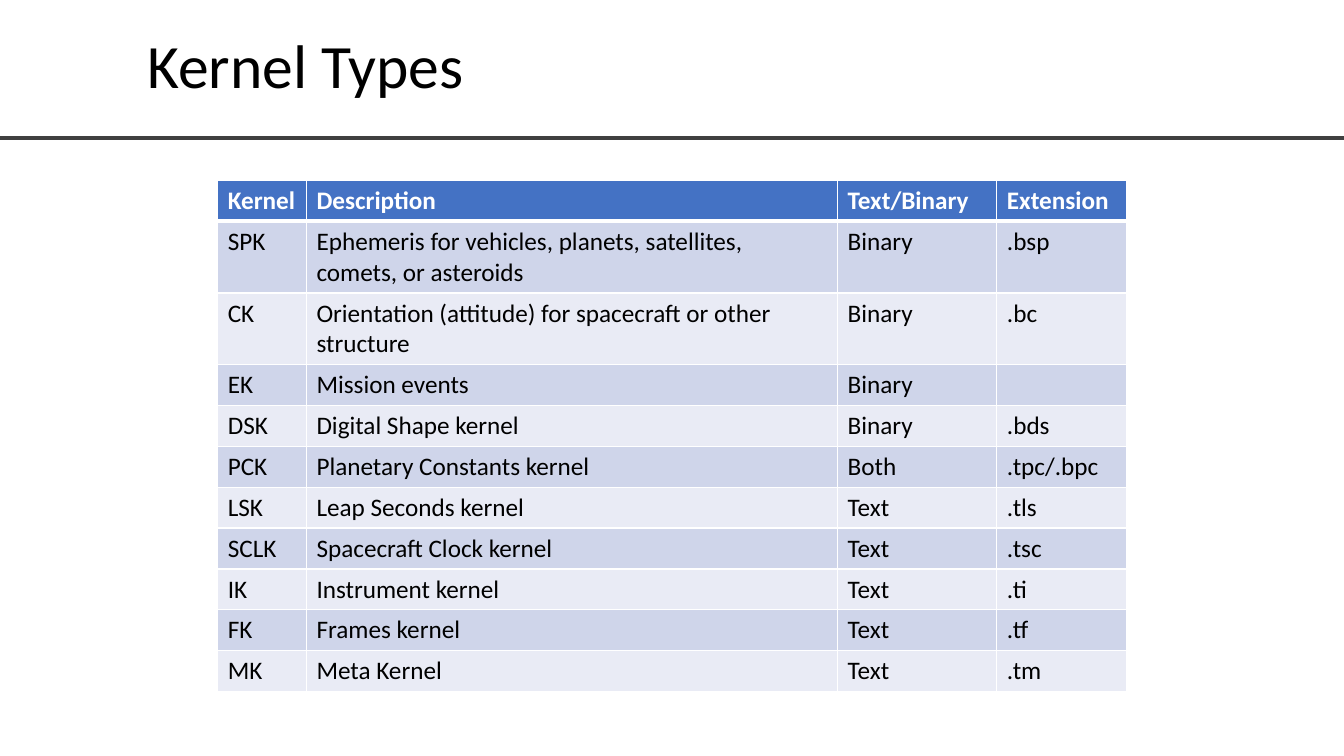
import dataclasses
import lxml.etree
import pptx
import pptx.dml.color
import pptx.enum.shapes
import pptx.enum.text
import pptx.oxml.ns
import pptx.util

Pt = pptx.util.Pt
Color = pptx.dml.color.RGBColor.from_string


@dataclasses.dataclass(frozen=True)
class Theme:
    font: str = "Calibri"
    title_size: int = 44
    table_size: int = 18
    text: str = "000000"
    rule: str = "404040"
    header: str = "4472C4"
    header_text: str = "FFFFFF"
    border: str = "FFFFFF"
    bands: tuple = ("CFD5EA", "E9EBF5")


THEME = Theme()
COLUMN_WIDTHS = (63.4, 379.4, 113.8, 92.8)
ROW_HEIGHT = 29.2
KERNELS = (
    ("Kernel", "Description", "Text/Binary", "Extension"),
    ("SPK", "Ephemeris for vehicles, planets, satellites, comets, or asteroids", "Binary", ".bsp"),
    ("CK", "Orientation (attitude) for spacecraft or other structure", "Binary", ".bc"),
    ("EK", "Mission events", "Binary", ""),
    ("DSK", "Digital Shape kernel", "Binary", ".bds"),
    ("PCK", "Planetary Constants kernel", "Both", ".tpc/.bpc"),
    ("LSK", "Leap Seconds kernel", "Text", ".tls"),
    ("SCLK", "Spacecraft Clock kernel", "Text", ".tsc"),
    ("IK", "Instrument kernel", "Text", ".ti"),
    ("FK", "Frames kernel", "Text", ".tf"),
    ("MK", "Meta Kernel", "Text", ".tm"),
)


def apply_format(target, values):
    for name, value in values.items():
        setattr(target, name, value)


def write_text(para, text, size, color, bold=False):
    span = para.add_run()
    span.text = text
    apply_format(span.font, {"name": THEME.font, "size": Pt(size), "bold": bold})
    span.font.color.rgb = Color(color)


def add_title(page, text):
    box = page.shapes.title
    apply_format(box, {"left": Pt(97.9), "top": Pt(7.9), "width": Pt(746.6), "height": Pt(82.8)})
    apply_format(box.text_frame, {
        "word_wrap": True,
        "auto_size": pptx.enum.text.MSO_AUTO_SIZE.NONE,
        "vertical_anchor": pptx.enum.text.MSO_ANCHOR.MIDDLE,
    })
    para = box.text_frame.paragraphs[0]
    apply_format(para, {"alignment": pptx.enum.text.PP_ALIGN.LEFT, "line_spacing": 0.9})
    write_text(para, text, THEME.title_size, THEME.text)


def add_rule(page, top, width):
    rule = page.shapes.add_connector(
        pptx.enum.shapes.MSO_CONNECTOR.STRAIGHT, 0, Pt(top), width, Pt(top))
    rule.line.color.rgb = Color(THEME.rule)
    rule.line.width = Pt(3)
    lxml.etree.SubElement(rule._element.spPr, pptx.oxml.ns.qn("a:effectLst"))


def add_borders(cell, widths):
    properties = cell._tc.get_or_add_tcPr()
    for position, (side, width) in enumerate(widths.items()):
        line = lxml.etree.Element(pptx.oxml.ns.qn(f"a:ln{side}"), w=str(Pt(width)))
        fill = lxml.etree.SubElement(line, pptx.oxml.ns.qn("a:solidFill"))
        lxml.etree.SubElement(fill, pptx.oxml.ns.qn("a:srgbClr"), val=THEME.border)
        properties.insert(position, line)


def fill_cell(cell, text, row):
    is_header = row == 0
    cell.fill.solid()
    cell.fill.fore_color.rgb = Color(THEME.header if is_header else THEME.bands[(row - 1) % 2])
    if text:
        color = THEME.header_text if is_header else THEME.text
        write_text(cell.text_frame.paragraphs[0], text, THEME.table_size, color, is_header)
    add_borders(cell, {"L": 1, "R": 1, "T": 3 if row == 1 else 1, "B": 3 if is_header else 1})


def add_table(page, rows):
    frame = page.shapes.add_table(
        len(rows), len(COLUMN_WIDTHS), Pt(155.5), Pt(128.9),
        Pt(sum(COLUMN_WIDTHS)), Pt(ROW_HEIGHT * len(rows)))
    for column, width in zip(frame.table.columns, COLUMN_WIDTHS):
        column.width = Pt(width)
    for row, texts in enumerate(rows):
        frame.table.rows[row].height = Pt(ROW_HEIGHT)
        for column, text in enumerate(texts):
            fill_cell(frame.table.cell(row, column), text, row)
    frame.height = Pt(363.6)


def main():
    deck = pptx.Presentation()
    apply_format(deck, {"slide_width": Pt(960), "slide_height": Pt(540)})
    page = deck.slides.add_slide(deck.slide_layouts[5])
    add_rule(page, 98.6, deck.slide_width)
    add_title(page, "Kernel Types")
    add_table(page, KERNELS)
    deck.save("out.pptx")


if __name__ == "__main__":
    main()
